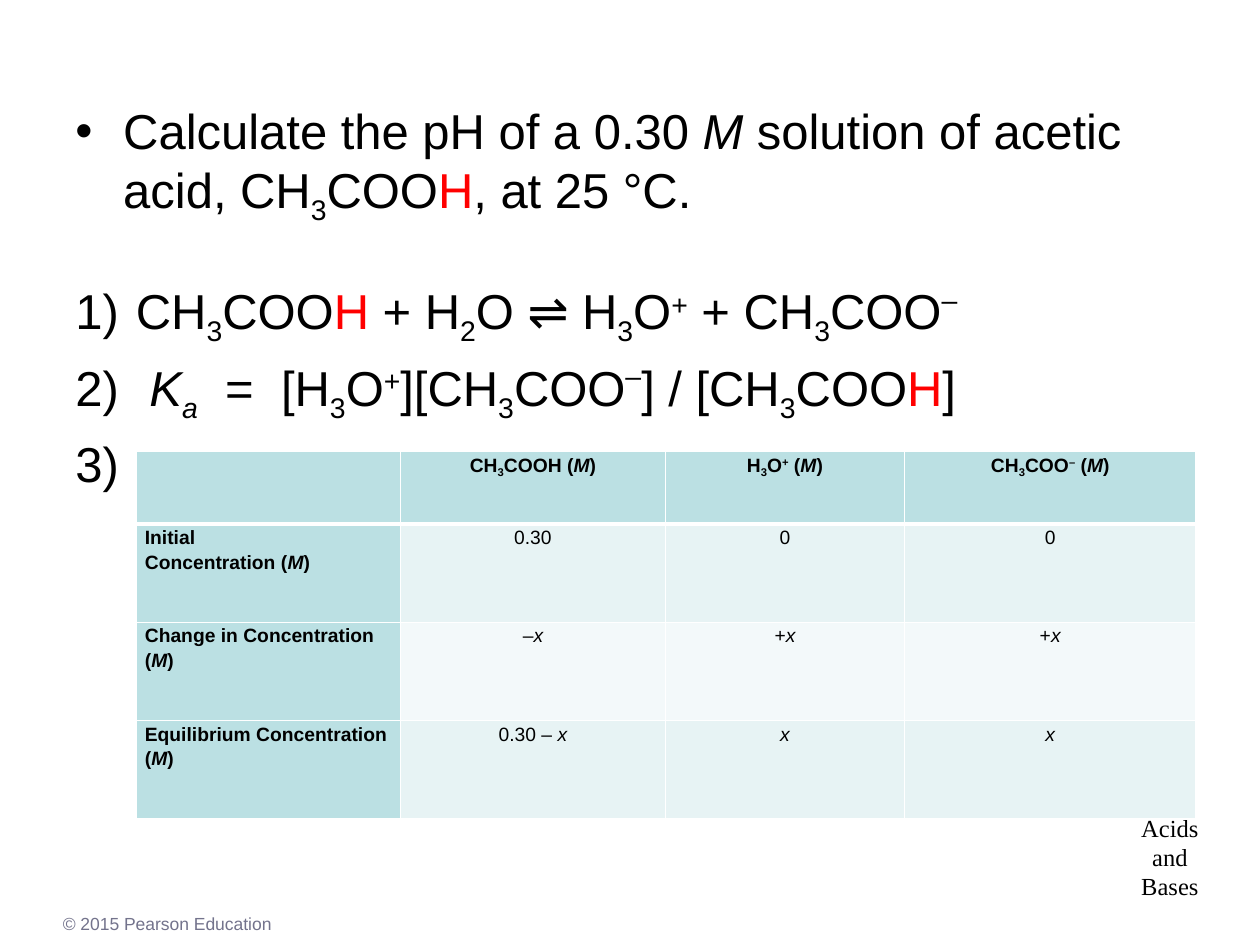
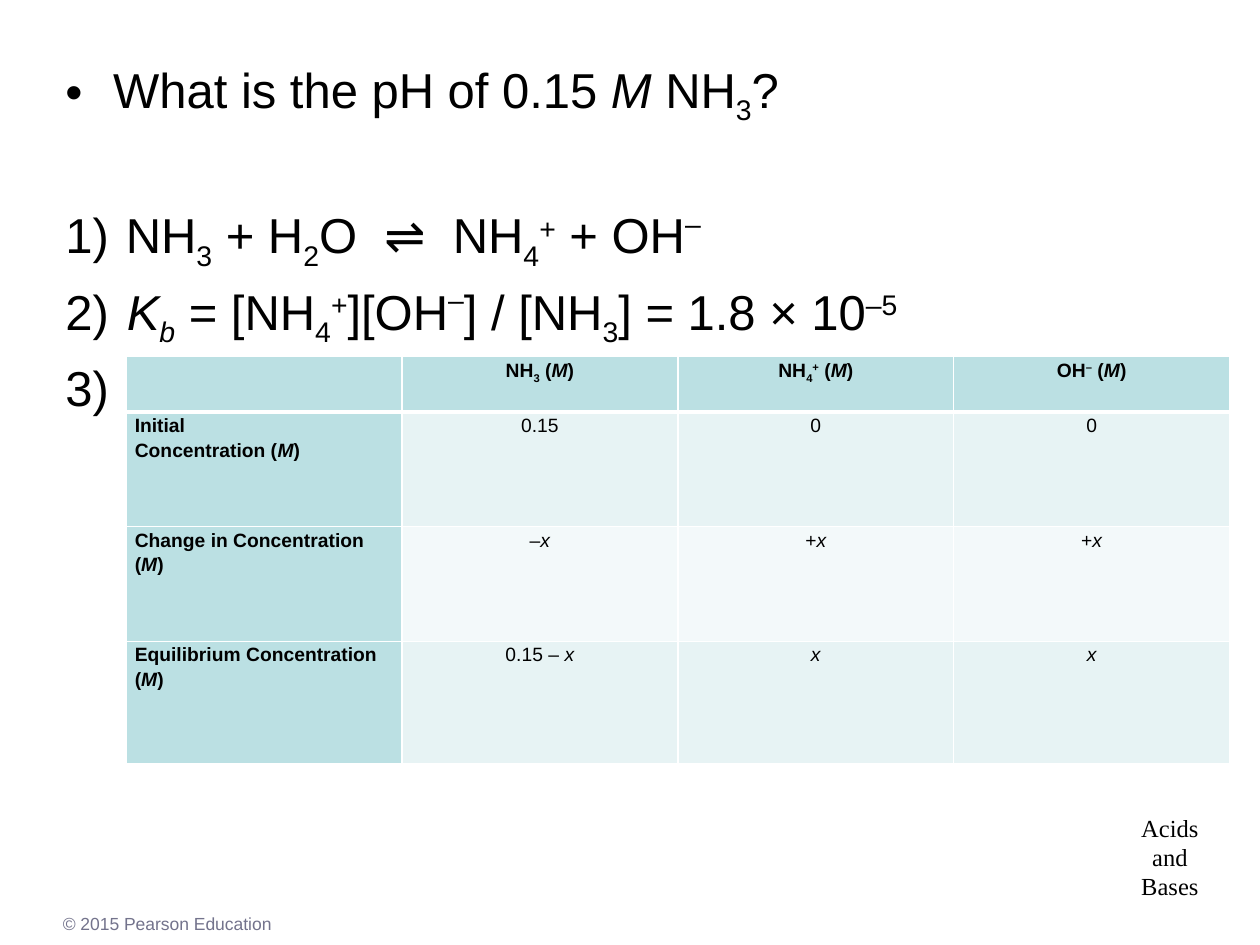
from dataclasses import dataclass

from lxml import etree
from pptx import Presentation
from pptx import util as u
from pptx.dml import color
from pptx.enum import text
from pptx.oxml import ns


@dataclass(frozen=True)
class Theme:
    sans: str = "Arial"
    serif: str = "Times New Roman"
    black: str = "000000"
    red: str = "FF0000"
    gray: str = "73738C"
    white: str = "FFFFFF"
    header_fill: str = "BBE0E3"
    odd_fill: str = "E7F3F4"
    even_fill: str = "F3F9FA"
    body_size: int = 28
    badge_size: int = 14
    table_size: int = 11
    footer_size: int = 10
    thin_border: float = 1
    thick_border: float = 3


@dataclass(frozen=True)
class Area:
    left: float
    top: float
    width: float
    height: float

    def lengths(self) -> list[u.Length]:
        return [u.Inches(v) for v in (self.left, self.top, self.width, self.height)]


@dataclass(frozen=True)
class Style:
    font: str
    size: int
    color: str
    bold: bool = False


@dataclass(frozen=True)
class Step:
    content: str
    indent: float = 0.48


@dataclass(frozen=True)
class Problem:
    question: str
    steps: list[Step]
    body: Area
    first_step_gap: int
    table: Area
    columns: list[float]
    rows: list[float]
    species: list[str]
    start: str


THEME = Theme()
BODY = Style(THEME.sans, THEME.body_size, THEME.black)
BADGE = Style(THEME.serif, THEME.badge_size, THEME.black)
FOOTER = Style(THEME.sans, THEME.footer_size, THEME.gray)
VALUE = Style(THEME.sans, THEME.table_size, THEME.black)
HEADING = Style(THEME.sans, THEME.table_size, THEME.black, bold=True)

BULLET_INDENT = 0.38
STEP_GAP = 5.5
BASELINES = {"_": -25000, "^": 30000, "`": 40000}
ITALIC, RED, WIDE_SPACE = "*", "!", "~"
MARKS = {*BASELINES, ITALIC, RED}

PROBLEMS = [
    Problem(
        question="Calculate the pH of a 0.30 *M* solution of acetic acid, CH_3_COO!H!, at 25 °C.",
        steps=[
            Step("CH_3_COO!H! + H_2_O ⇌ H_3_O^+^ + CH_3_COO`–`"),
            Step(" *K_a_*~=~[H_3_O^+^][CH_3_COO`–`] / [CH_3_COO!H!]"),
            Step(" "),
        ],
        body=Area(0.5, 0.75, 8.5, 2.75),
        first_step_gap=31,
        table=Area(1.08, 3.58, 8.42, 2.92),
        columns=[2.1, 2.1, 1.9, 2.31],
        rows=[0.58, 0.78, 0.78, 0.78],
        species=["CH_3_COOH", "H_3_O^+^", "CH_3_COO^–^"],
        start="0.30",
    ),
    Problem(
        question="What is the pH of 0.15 *M* NH_3_?",
        steps=[
            Step("NH_3_ + H_2_O~⇌~NH_4_^+^ + OH`–`"),
            Step(" *K_b_* = [NH_4_^+^][OH`–`] / [NH_3_] = 1.8 × 10^–5^", indent=BULLET_INDENT),
            Step(" "),
        ],
        body=Area(0.42, 0.42, 9.08, 2.83),
        first_step_gap=45,
        table=Area(1, 2.83, 8.75, 3.23),
        columns=[2.19] * 4,
        rows=[0.44, 0.91, 0.91, 0.97],
        species=["NH_3_", "NH_4_^+^", "OH^–^"],
        start="0.15",
    ),
]


def add_span(para, content: str, style: Style, active: set[str]) -> None:
    span = para.add_run()
    span.text = content
    font = span.font
    font.name, font.size, font.bold = style.font, u.Pt(style.size), style.bold
    font.italic = ITALIC in active
    font.color.rgb = color.RGBColor.from_string(THEME.red if RED in active else style.color)
    properties = span._r.get_or_add_rPr()
    for mark in active & BASELINES.keys():
        properties.set("baseline", str(BASELINES[mark]))
    if WIDE_SPACE in active:
        properties.set("spc", str(style.size * 28))


def write(para, content: str, style: Style) -> None:
    active: set[str] = set()
    pending = ""
    for letter in content:
        if letter not in MARKS and letter != WIDE_SPACE:
            pending += letter
            continue
        if pending:
            add_span(para, pending, style, active)
            pending = ""
        if letter == WIDE_SPACE:
            add_span(para, " ", style, active | {WIDE_SPACE})
        else:
            active ^= {letter}
    if pending:
        add_span(para, pending, style, active)


def add_box(page, area: Area, lines: list[str], style: Style, align=None):
    box = page.shapes.add_textbox(*area.lengths())
    frame = box.text_frame
    frame.word_wrap = True
    for index, line in enumerate(lines):
        para = frame.add_paragraph() if index else frame.paragraphs[0]
        para.alignment = align
        write(para, line, style)
    return frame


def add_badge(page) -> None:
    frame = add_box(page, Area(8.96, 6.4, 0.65, 0.8), ["Acids", "and", "Bases"], BADGE,
                    text.PP_ALIGN.CENTER)
    frame.margin_left = frame.margin_right = 0


def add_marker(para, indent: float, tag: str, **attributes: str) -> None:
    properties = para._p.get_or_add_pPr()
    properties.set("marL", str(u.Inches(indent)))
    properties.set("indent", str(-u.Inches(indent)))
    etree.SubElement(properties, ns.qn("a:buFont"), typeface=THEME.sans)
    etree.SubElement(properties, ns.qn(tag), **attributes)


def add_body(page, problem: Problem) -> None:
    lines = [problem.question, *(step.content for step in problem.steps)]
    question, *steps = add_box(page, problem.body, lines, BODY).paragraphs
    add_marker(question, BULLET_INDENT, "a:buChar", char="•")
    for para, step in zip(steps, problem.steps):
        add_marker(para, step.indent, "a:buAutoNum", type="arabicParenR")
        para.space_before = u.Pt(STEP_GAP)
    steps[0].space_before = u.Pt(problem.first_step_gap)


def set_borders(cell, row: int) -> None:
    properties = cell._tc.get_or_add_tcPr()
    thick_sides = {0: "B", 1: "T"}
    for side in "LRTB":
        thick = thick_sides.get(row) == side
        width = u.Pt(THEME.thick_border if thick else THEME.thin_border)
        line = etree.SubElement(properties, ns.qn(f"a:ln{side}"), w=str(width))
        fill = etree.SubElement(line, ns.qn("a:solidFill"))
        etree.SubElement(fill, ns.qn("a:srgbClr"), val=THEME.white)


def fill_cell(cell, content: str, row: int, column: int) -> None:
    heading = row == 0 or column == 0
    set_borders(cell, row)
    band = THEME.odd_fill if row % 2 else THEME.even_fill
    cell.fill.solid()
    cell.fill.fore_color.rgb = color.RGBColor.from_string(THEME.header_fill if heading else band)
    cell.margin_left = cell.margin_right = u.Inches(0.07)
    cell.margin_top = cell.margin_bottom = 0
    for index, line in enumerate(content.split("\n")):
        para = cell.text_frame.add_paragraph() if index else cell.text_frame.paragraphs[0]
        para.line_spacing = 1.15
        para.alignment = text.PP_ALIGN.CENTER if column else text.PP_ALIGN.LEFT
        write(para, line, HEADING if heading else VALUE)


def add_concentrations(page, problem: Problem) -> None:
    content = [
        ["", *(f"{name} (*M*)" for name in problem.species)],
        ["Initial\nConcentration (*M*)", problem.start, "0", "0"],
        ["Change in Concentration (*M*)", "–*x*", "+*x*", "+*x*"],
        ["Equilibrium Concentration (*M*)", f"{problem.start} – *x*", "*x*", "*x*"],
    ]
    table = page.shapes.add_table(4, 4, *problem.table.lengths()).table
    for column, width in zip(table.columns, problem.columns):
        column.width = u.Inches(width)
    for row, height in zip(table.rows, problem.rows):
        row.height = u.Inches(height)
    for row, cells in enumerate(content):
        for column, value in enumerate(cells):
            fill_cell(table.cell(row, column), value, row, column)


def add_page(deck, problem: Problem) -> None:
    page = deck.slides.add_slide(deck.slide_layouts[6])
    add_badge(page)
    add_box(page, Area(0.4, 7.2, 9, 0.27), ["© 2015 Pearson Education"], FOOTER)
    add_body(page, problem)
    add_concentrations(page, problem)


def main() -> None:
    deck = Presentation()
    deck.slide_width, deck.slide_height = u.Inches(10), u.Inches(7.5)
    for problem in PROBLEMS:
        add_page(deck, problem)
    deck.save("out.pptx")


if __name__ == "__main__":
    main()
